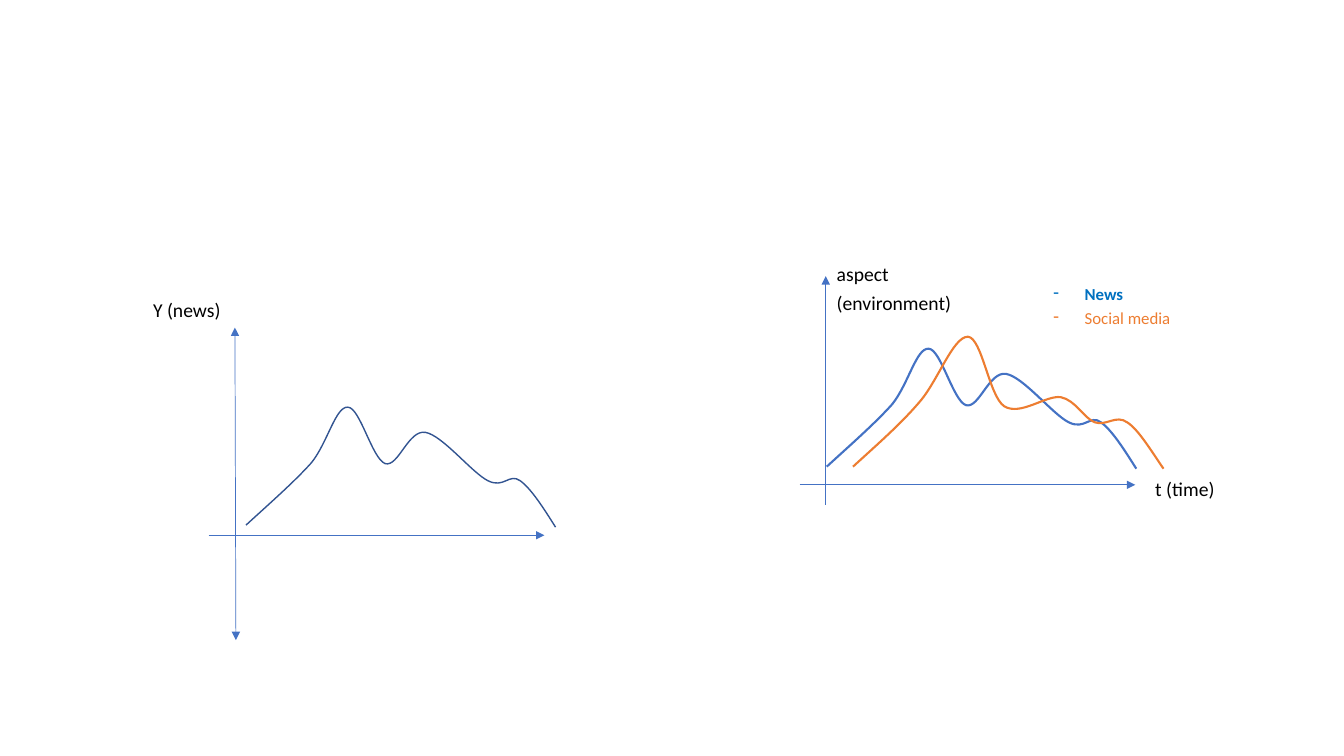
"""Draw two sketches of news and social media curves over time."""
from lxml.etree import SubElement
from pptx import Presentation
from pptx.dml.color import RGBColor
from pptx.enum.shapes import MSO_CONNECTOR
from pptx.enum.text import MSO_AUTO_SIZE
from pptx.oxml.ns import qn
from pptx.util import Inches, Pt

BLUE, ORANGE = "4472C4", "ED7D31"


def paint(part, color):
    part.fore_color.rgb = RGBColor.from_string(color)


def write(left, top, width, height, size, rows, dash=False):
    box = slide.shapes.add_textbox(*map(Inches, (left, top, width, height)))
    frame = box.text_frame
    frame.word_wrap = dash
    frame.auto_size = MSO_AUTO_SIZE.SHAPE_TO_FIT_TEXT
    for i, (text, color, bold) in enumerate(rows):
        para = frame.add_paragraph() if i else frame.paragraphs[0]
        para.text = text
        para.line_spacing = 0.9
        para.space_after = Pt(0.35 * size)
        if dash:
            props = para._p.get_or_add_pPr()
            props.set("marL", str(Inches(0.31)))
            props.set("indent", str(Inches(-0.31)))
            SubElement(props, qn("a:buChar"), char="-")
        font = para.font
        font.name, font.size, font.bold = "Calibri", Pt(size), bold
        font.fill.solid()
        paint(font.fill, color)


deck = Presentation()
deck.slide_width, deck.slide_height = Inches(13.33), Inches(7.5)
slide = deck.slides.add_slide(deck.slide_layouts[6])

axes = [
    (2.07, 5.31, 5.4, 5.31, ["tailEnd"]),
    (2.34, 6.35, 2.33, 3.25, ["headEnd", "tailEnd"]),
    (7.93, 4.81, 11.26, 4.81, ["tailEnd"]),
    (8.19, 5.01, 8.19, 2.74, ["tailEnd"]),
]
for *ends, heads in axes:
    axis = slide.shapes.add_connector(MSO_CONNECTOR.STRAIGHT, *map(Inches, ends))
    axis.line.width = Pt(0.5)
    axis.line.fill.solid()
    paint(axis.line.fill, BLUE)
    for head in heads:
        SubElement(axis.line._get_or_add_ln(), qn("a:" + head), type="triangle")
    SubElement(axis._element.spPr, qn("a:effectLst"))

news = [
    (2.44, 5.21), (2.68, 4.99), (2.92, 4.78), (3.09, 4.59),
    (3.25, 4.39), (3.33, 4.03), (3.45, 4.04), (3.57, 4.04), (3.69, 4.55), (3.82, 4.6),
    (3.95, 4.64), (4.05, 4.26), (4.22, 4.29), (4.39, 4.32), (4.68, 4.69), (4.84, 4.77),
    (5, 4.85), (5.05, 4.69), (5.16, 4.77), (5.27, 4.85), (5.39, 5.04), (5.51, 5.23),
]
social = [
    (8.46, 4.63), (8.7, 4.41), (8.92, 4.22), (9.11, 4),
    (9.3, 3.79), (9.45, 3.34), (9.6, 3.34), (9.74, 3.35), (9.81, 3.93), (9.96, 4.03),
    (10.12, 4.13), (10.37, 3.92), (10.52, 3.94), (10.67, 3.97), (10.75, 4.15), (10.86, 4.19),
    (10.97, 4.23), (11.07, 4.11), (11.18, 4.19), (11.29, 4.26), (11.41, 4.46), (11.54, 4.65),
]
moved = [(x + 5.76, y - 0.58) for x, y in news]
for points, color, width in [(news, "325491", 1), (moved, BLUE, 1.5), (social, ORANGE, 1.5)]:
    spots = [(Inches(x), Inches(y)) for x, y in points]
    pen = slide.shapes.build_freeform(*spots[0])
    pen.add_line_segments(spots[1:], close=False)
    curve = pen.convert_to_shape()
    curve.shadow.inherit = False
    curve.fill.background()
    curve.line.width = Pt(width)
    curve.line.fill.solid()
    paint(curve.line.fill, color)
    route = curve._element.find(".//" + qn("a:path"))
    steps = route.findall(qn("a:lnTo"))
    for i in range(0, len(steps), 3):
        bend = SubElement(route, qn("a:cubicBezTo"))
        for step in steps[i:i + 3]:
            bend.append(step[0])
            route.remove(step)

write(10.35, 2.79, 1.84, 0.54, 12,
      [("News", "0070C0", True), ("Social media", ORANGE, False)], dash=True)
labels = [
    (1.42, 2.93, 0.87, 0.31, ["Y (news)"]),
    (11.36, 4.71, 0.8, 0.31, ["t (time)"]),
    (8.2, 2.58, 1.35, 0.61, ["aspect", "(environment)"]),
]
for *place, rows in labels:
    write(*place, 14, [(row, "000000", False) for row in rows])

deck.save("out.pptx")
